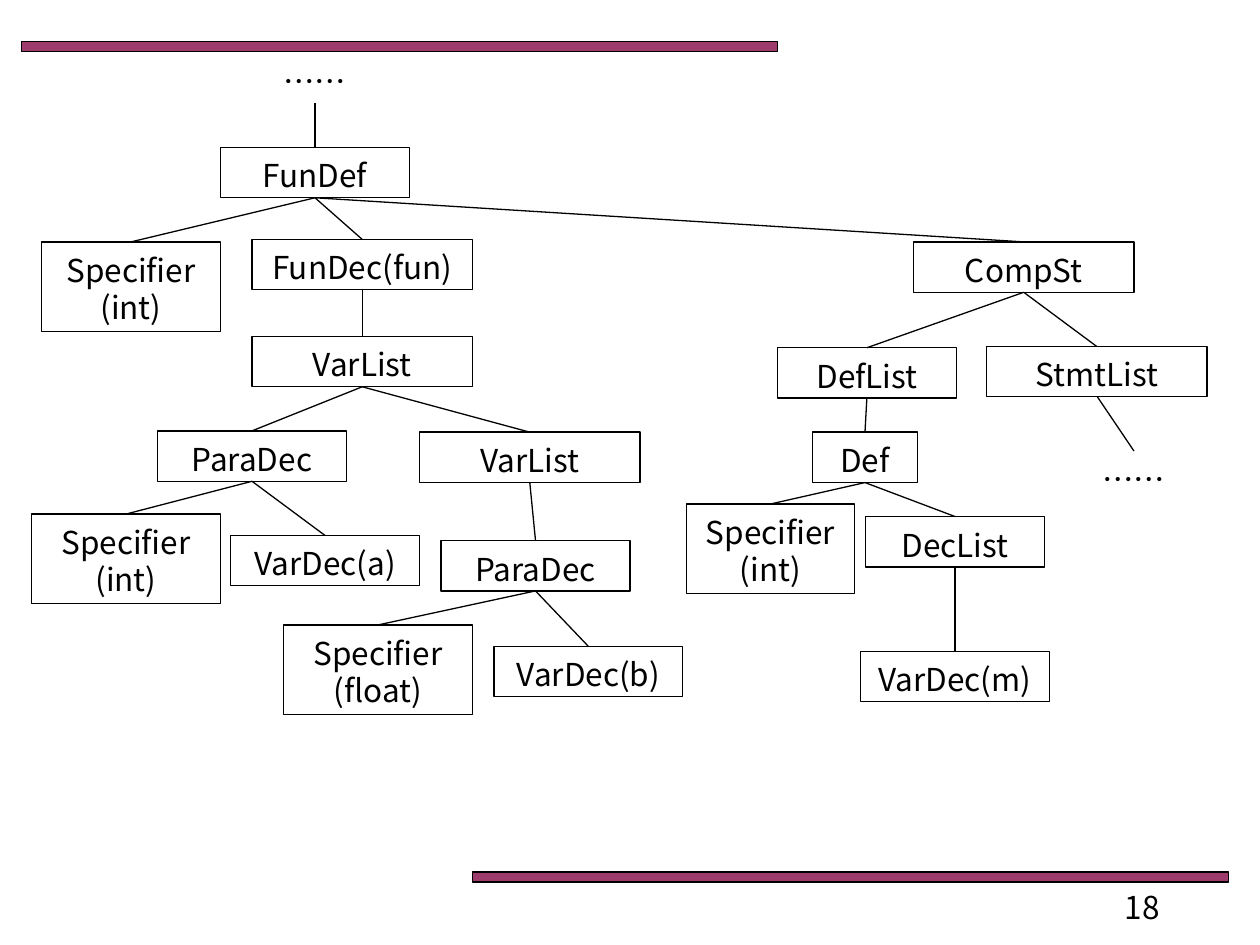
from lxml import etree
from pptx import Presentation
from pptx.dml.color import RGBColor
from pptx.enum.shapes import MSO_CONNECTOR, MSO_SHAPE
from pptx.enum.text import MSO_ANCHOR, PP_ALIGN
from pptx.oxml.ns import qn
from pptx.util import Inches, Pt

RECTANGLE = MSO_SHAPE.RECTANGLE
STRAIGHT = MSO_CONNECTOR.STRAIGHT
TOP = MSO_ANCHOR.TOP
LEFT, CENTER = PP_ALIGN.LEFT, PP_ALIGN.CENTER

COLORS = {"ink": "000000", "bar": "993366", "paper": "FFFFFF"}
FONT = "Noto Sans CJK SC"
ONE_LINE, TWO_LINES = 0.4, 0.71

# name: (label, left, top, width, parent)
NODES = {
    "function": ("FunDef", 1.75, 1.17, 1.5, None),
    "return_type": ("Specifier\n(int)", 0.33, 1.92, 1.42, "function"),
    "declarator": ("FunDec(fun)", 2, 1.9, 1.75, "function"),
    "body": ("CompSt", 7.25, 1.92, 1.75, "function"),
    "parameters": ("VarList", 2, 2.67, 1.75, "declarator"),
    "first": ("ParaDec", 1.25, 3.42, 1.5, "parameters"),
    "first_type": ("Specifier\n(int)", 0.25, 4.08, 1.5, "first"),
    "first_name": ("VarDec(a)", 1.83, 4.25, 1.5, "first"),
    "rest": ("VarList", 3.33, 3.43, 1.75, "parameters"),
    "second": ("ParaDec", 3.5, 4.29, 1.5, "rest"),
    "second_type": ("Specifier\n(float)", 2.25, 4.96, 1.5, "second"),
    "second_name": ("VarDec(b)", 3.92, 5.13, 1.5, "second"),
    "definitions": ("DefList", 6.17, 2.76, 1.42, "body"),
    "statements": ("StmtList", 7.83, 2.75, 1.75, "body"),
    "definition": ("Def", 6.45, 3.43, 0.83, "definitions"),
    "local_type": ("Specifier\n(int)", 5.45, 4, 1.33, "definition"),
    "local_list": ("DecList", 6.87, 4.1, 1.42, "definition"),
    "local_name": ("VarDec(m)", 6.83, 5.17, 1.5, "local_list"),
}


def color(name):
    return RGBColor.from_string(COLORS[name])


def write_text(shape, text, size=18, align=CENTER, ink="ink", spacing=21):
    frame = shape.text_frame
    frame.word_wrap = True
    frame.vertical_anchor = TOP
    frame.margin_top = Inches(0.08)
    frame.margin_bottom = 0
    for index, line in enumerate(text.split("\n")):
        paragraph = frame.add_paragraph() if index else frame.paragraphs[0]
        paragraph.alignment = align
        paragraph.line_spacing = Pt(spacing)
        run = paragraph.add_run()
        run.text = line
        run.font.name = FONT
        run.font.size = Pt(size)
        run.font.color.rgb = color(ink)
        east_asian = etree.SubElement(run.font._element, qn("a:ea"))
        east_asian.set("typeface", FONT)


class TreeSlide:
    def __init__(self, presentation, line_width=0.75):
        self.slide = presentation.slides.add_slide(presentation.slide_layouts[6])
        self.slide.background.fill.solid()
        self.slide.background.fill.fore_color.rgb = color("paper")
        self.line_width = Pt(line_width)

    def outline(self, line):
        line.color.rgb = color("ink")
        line.width = self.line_width

    def rectangle(self, left, top, width, height):
        shape = self.slide.shapes.add_shape(
            RECTANGLE, Inches(left), Inches(top), Inches(width), Inches(height))
        shape.shadow.inherit = False
        self.outline(shape.line)
        return shape

    def bar(self, left, top):
        shape = self.rectangle(left, top, 6, 0.08)
        shape.fill.solid()
        shape.fill.fore_color.rgb = color("bar")
        fill_color = shape._element.spPr.find(qn("a:solidFill"))[0]
        etree.SubElement(fill_color, qn("a:alpha")).set("val", "96000")

    def node(self, label, left, top, width):
        height = TWO_LINES if "\n" in label else ONE_LINE
        shape = self.rectangle(left, top, width, height)
        shape.fill.background()
        write_text(shape, label)
        return left + width / 2, top + height

    def label(self, text, left, top, width, height=ONE_LINE, **text_format):
        box = self.slide.shapes.add_textbox(
            Inches(left), Inches(top), Inches(width), Inches(height))
        write_text(box, text, **text_format)

    def edge(self, start, end):
        points = [Inches(value) for value in (*start, *end)]
        connector = self.slide.shapes.add_connector(STRAIGHT, *points)
        self.outline(connector.line)
        etree.SubElement(connector._element.spPr, qn("a:effectLst"))


def main():
    presentation = Presentation()
    presentation.slide_width = Inches(10)
    presentation.slide_height = Inches(7.5)
    tree = TreeSlide(presentation)

    tree.bar(0.17, 0.33)
    tree.bar(3.75, 6.92)
    tree.label("18", 8.83, 6.98, 1.1, align=LEFT)

    bottoms = {}
    for name, (label, left, top, width, parent) in NODES.items():
        bottoms[name] = tree.node(label, left, top, width)
        if parent:
            tree.edge(bottoms[parent], (left + width / 2, top))

    tree.label("……", 1.75, 0.42, 1.5)
    tree.edge((2.5, 0.82), (2.5, 1.17))
    tree.label("……", 8.25, 3.58, 1.5)
    tree.edge((8.71, 3.15), (9, 3.58))

    presentation.save("out.pptx")


if __name__ == "__main__":
    main()
